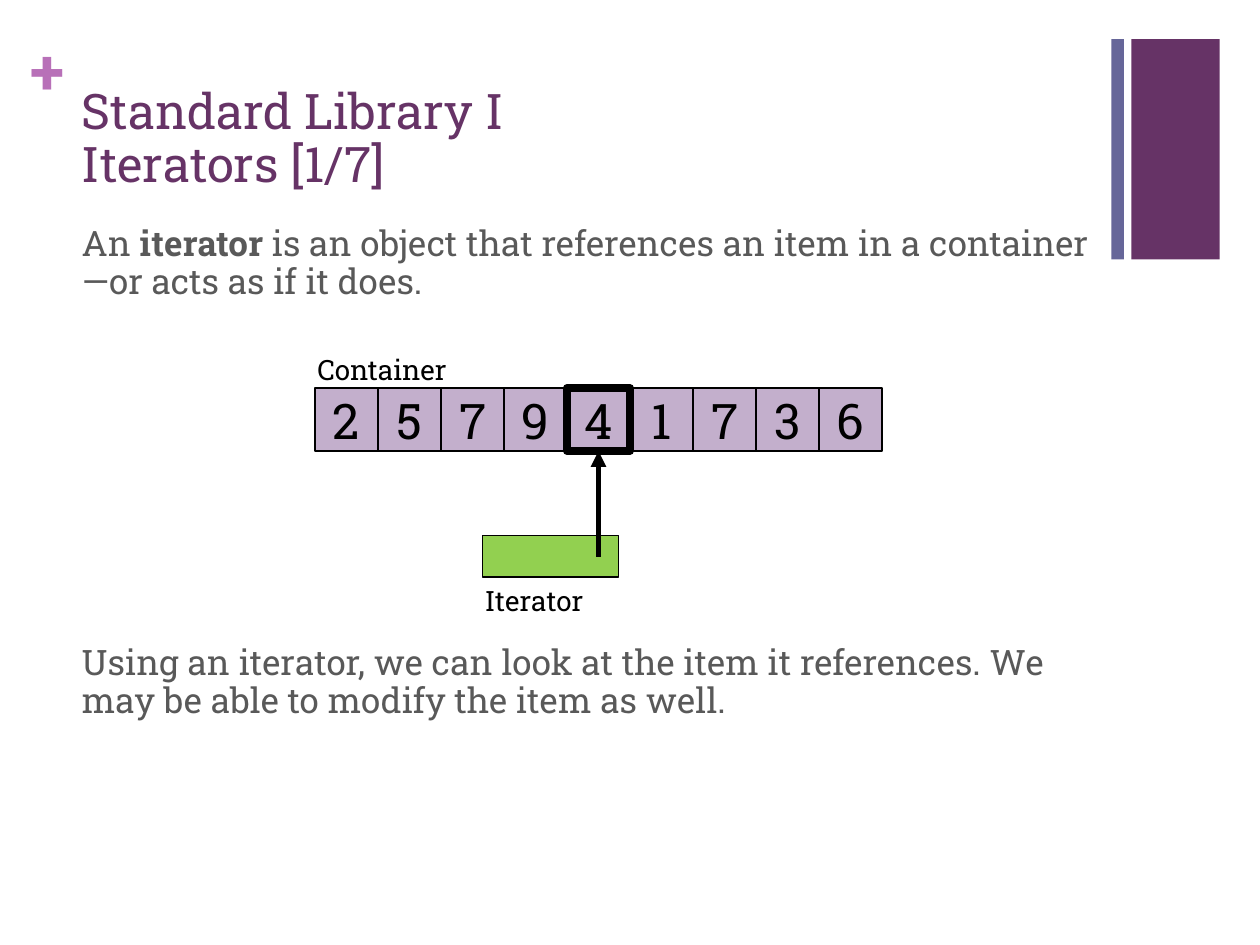
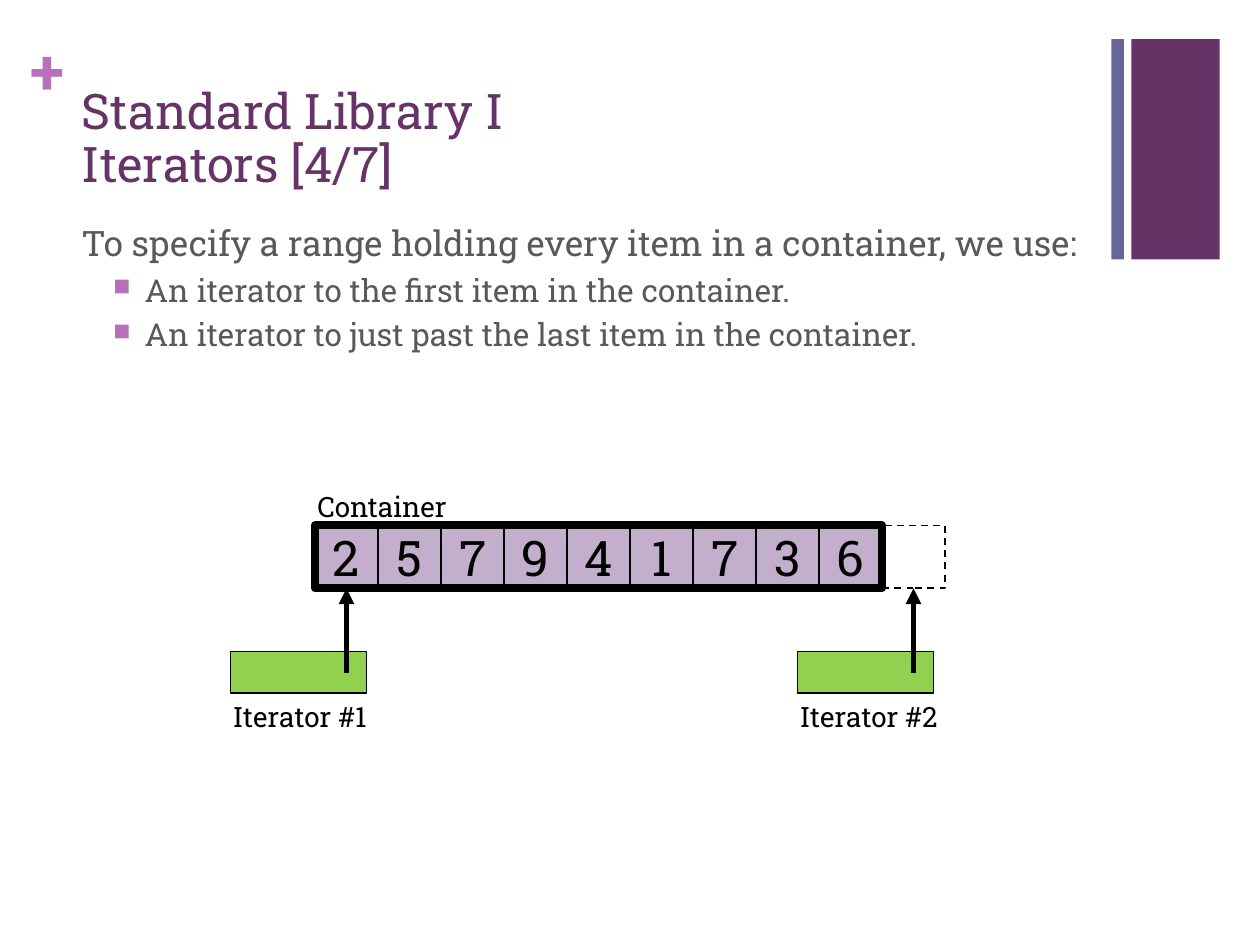
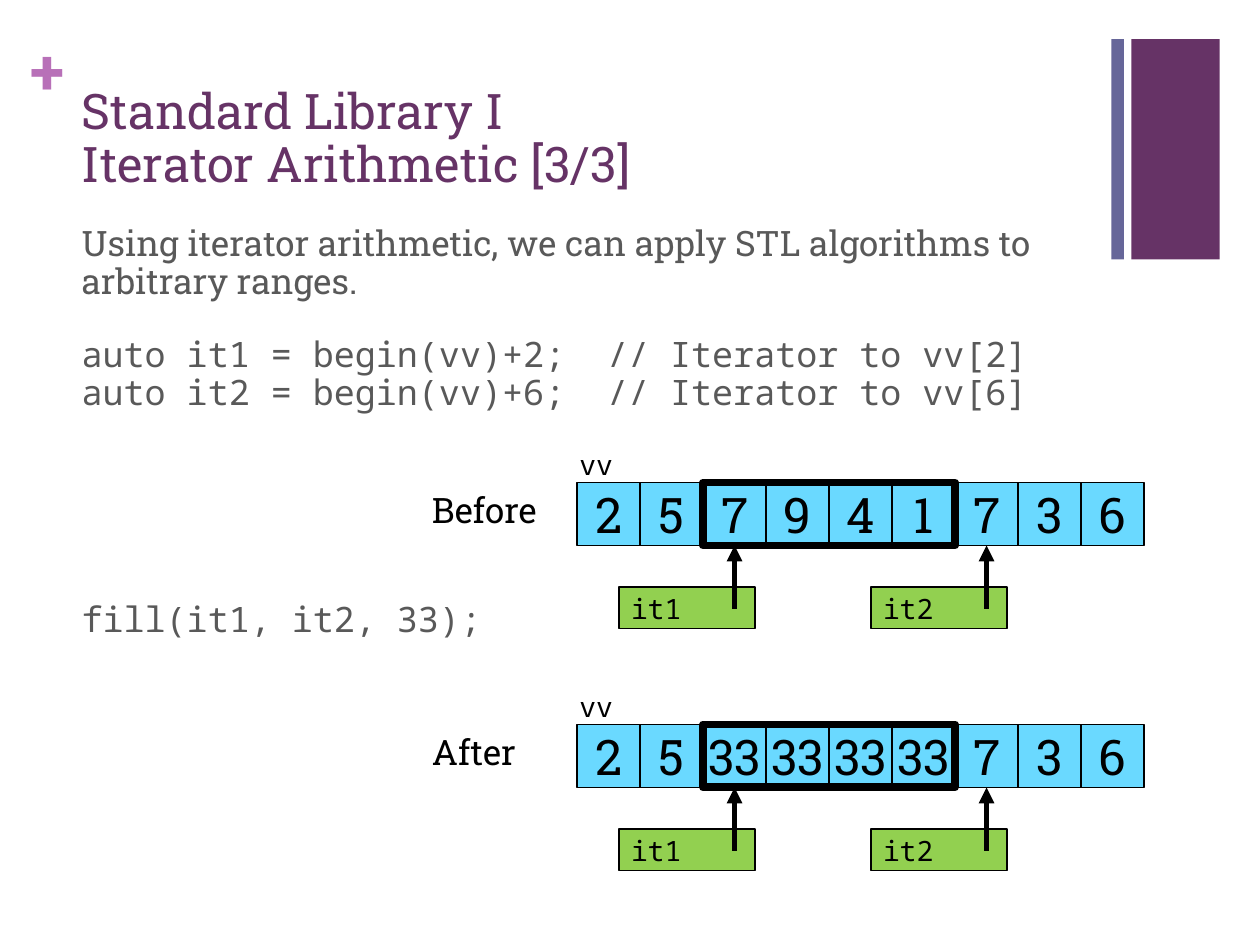
"""Builds three slides on iterators, with container diagrams."""
from copy import deepcopy

from lxml.etree import SubElement
from pptx import Presentation
from pptx.dml.color import RGBColor
from pptx.enum.dml import MSO_LINE
from pptx.enum.shapes import MSO_CONNECTOR, MSO_SHAPE
from pptx.enum.text import MSO_ANCHOR, MSO_AUTO_SIZE, PP_ALIGN
from pptx.oxml.ns import qn
from pptx.util import Inches, Pt

COLORS = {
    "title": "663366",
    "stripe": "666699",
    "accent": "B870B8",
    "body": "595959",
    "ink": "000000",
    "container": "C3AFCC",
    "vector": "6AD9FF",
    "iterator": "92D050",
}
SERIF = "Roboto Slab"
MONO = "Noto Sans Mono"
CELL = 0.5
LINE_SPACING = 0.9
ITEMS = [2, 5, 7, 9, 4, 1, 7, 3, 6]


def color(name):
    return RGBColor.from_string(COLORS[name])


class Deck:
    def __init__(self):
        self.presentation = Presentation()
        self.presentation.slide_width = Inches(10)
        self.presentation.slide_height = Inches(7.5)
        self.slide = None

    def add_slide(self, title):
        layout = self.presentation.slide_layouts[5]
        self.slide = self.presentation.slides.add_slide(layout)
        self.box(8.98, 0.31, 0.7, 1.75, "title", line=None)
        plus = self.text(0.24, 0.25, 0.29, 0.61, "+", 36, name="accent", bold=True)
        plus.margin_left = plus.margin_right = 0
        plus.margin_top = plus.margin_bottom = 0
        self.box(8.82, 0.31, 0.1, 1.75, "stripe", line=None)

        shape = self.slide.shapes.title
        shape.left, shape.top = Inches(0.55), Inches(0.53)
        shape.width, shape.height = Inches(8.26), Inches(1.05)
        frame = shape.text_frame
        frame.auto_size = MSO_AUTO_SIZE.NONE
        frame.vertical_anchor = MSO_ANCHOR.BOTTOM
        paragraph = frame.paragraphs[0]
        self.fill_paragraph(paragraph, title, 28, name="title")
        paragraph.alignment = PP_ALIGN.LEFT
        paragraph.line_spacing = LINE_SPACING

    def fill_paragraph(self, paragraph, text, size, font=SERIF, name="ink", bold=False):
        first, *others = text.split("**")
        paragraph.text = first
        for piece in others:
            paragraph.add_run().text = piece
        emphasis = len(others) > 0
        for index, run in enumerate(paragraph.runs):
            run.font.name = font
            run.font.size = Pt(size)
            run.font.color.rgb = color(name)
            run.font.bold = bold or (emphasis and index % 2 == 1)
        for line_break in paragraph._p.findall(qn("a:br")):
            line_break.insert(0, deepcopy(paragraph.runs[0]._r.rPr))

    def text(self, left, top, width, height, text, size, font=SERIF, name="ink", bold=False):
        shape = self.slide.shapes.add_textbox(
            Inches(left), Inches(top), Inches(width), Inches(height))
        frame = shape.text_frame
        frame.word_wrap = True
        self.fill_paragraph(frame.paragraphs[0], text, size, font, name, bold)
        return frame

    def body(self, first_text):
        frame = self.text(0.55, 1.75, 8.26, 5.17, first_text, 20, name="body")
        frame.paragraphs[0].line_spacing = LINE_SPACING
        return frame

    def body_paragraph(self, frame, text, space, size=20, font=SERIF):
        paragraph = frame.add_paragraph()
        self.fill_paragraph(paragraph, text, size, font, "body")
        paragraph.line_spacing = LINE_SPACING
        paragraph.space_before = Pt(space)
        return paragraph

    def bullet(self, frame, text):
        paragraph = self.body_paragraph(frame, text, 6, size=18)
        paragraph.level = 1
        properties = paragraph._p.get_or_add_pPr()
        properties.set("marL", str(Inches(0.5)))
        properties.set("indent", str(Inches(-0.25)))
        bullet_color = SubElement(properties, qn("a:buClr"))
        SubElement(bullet_color, qn("a:srgbClr"), val=COLORS["accent"])
        SubElement(properties, qn("a:buSzPct"), val="75000")
        SubElement(properties, qn("a:buChar"), char="■")

    def box(self, left, top, width, height, fill=None, line=1):
        shape = self.slide.shapes.add_shape(
            MSO_SHAPE.RECTANGLE, Inches(left), Inches(top), Inches(width), Inches(height))
        shape.shadow.inherit = False
        if fill:
            shape.fill.solid()
            shape.fill.fore_color.rgb = color(fill)
        else:
            shape.fill.background()
        if line:
            shape.line.color.rgb = color("ink")
            shape.line.width = Pt(line)
        else:
            shape.line.fill.background()
        return shape

    def container(self, left, top, items, fill, label, font=SERIF, selected=None):
        self.text(left - 0.08, top - 0.33, 2.5, 0.37, label, 16, font)
        for index in sorted(range(len(items)), key=lambda position: position == selected):
            line = 4.5 if index == selected else 1
            cell = self.box(left + index * CELL, top, CELL, CELL, fill, line)
            frame = cell.text_frame
            frame.margin_left = frame.margin_right = 0
            frame.word_wrap = False
            frame.vertical_anchor = MSO_ANCHOR.MIDDLE
            self.fill_paragraph(frame.paragraphs[0], str(items[index]), 28)
            frame.paragraphs[0].alignment = PP_ALIGN.CENTER

    def item_range(self, left, top, start, stop):
        self.box(left + start * CELL, top, (stop - start) * CELL, CELL, line=4.5)

    def iterator(self, left, top, index, box_top, label, inside=False):
        target = left + (index + 0.5) * CELL
        box_left = target - 0.92
        box = self.box(box_left, box_top, 1.08, 0.33, "iterator")
        if inside:
            frame = box.text_frame
            frame.vertical_anchor = MSO_ANCHOR.MIDDLE
            self.fill_paragraph(frame.paragraphs[0], label, 16, MONO)
            frame.paragraphs[0].alignment = PP_ALIGN.LEFT
        else:
            self.text(box_left - 0.08, box_top + 0.33, 1.5, 0.37, label, 16)
        self.arrow(target, box_top + 0.17, top + CELL)

    def arrow(self, x, start, end):
        connector = self.slide.shapes.add_connector(
            MSO_CONNECTOR.STRAIGHT, Inches(x), Inches(start), Inches(x), Inches(end))
        connector.line.color.rgb = color("ink")
        connector.line.width = Pt(3)
        SubElement(connector.line._get_or_add_ln(), qn("a:tailEnd"), type="triangle")
        SubElement(connector._element.spPr, qn("a:effectLst"))


def iterator_slide(deck):
    deck.add_slide("Standard Library I\nIterators [1/7]")
    frame = deck.body("An **iterator** is an object that references an item "
                      "in a container—or acts as if it does.")
    deck.body_paragraph(frame, "Using an iterator, we can look at the item it references. "
                               "We may be able to modify the item as well.", 196)
    left, top = 2.5, 3.08
    deck.container(left, top, ITEMS, "container", "Container", selected=4)
    deck.iterator(left, top, 4, 4.25, "Iterator")


def range_slide(deck):
    deck.add_slide("Standard Library I\nIterators [4/7]")
    frame = deck.body("To specify a range holding every item in a container, we use:")
    deck.bullet(frame, "An iterator to the first item in the container.")
    deck.bullet(frame, "An iterator to just past the last item in the container.")
    left, top = 2.5, 4.17
    count = len(ITEMS)
    past_end = deck.box(left + count * CELL, top, CELL, CELL)
    past_end.line.dash_style = MSO_LINE.DASH
    deck.container(left, top, ITEMS, "container", "Container")
    deck.item_range(left, top, 0, count)
    deck.iterator(left, top, 0, 5.17, "Iterator #1")
    deck.iterator(left, top, count, 5.17, "Iterator #2")


def arithmetic_slide(deck):
    deck.add_slide("Standard Library I\nIterator Arithmetic [3/3]")
    frame = deck.body("Using iterator arithmetic, we can apply STL algorithms "
                      "to arbitrary ranges.")
    deck.body_paragraph(frame, "auto it1 = begin(vv)+2;  // Iterator to vv[2]\n"
                               "auto it2 = begin(vv)+6;  // Iterator to vv[6]", 20, font=MONO)
    deck.body_paragraph(frame, "fill(it1, it2, 33);", 108, font=MONO)
    left, start, stop = 4.58, 2, 6
    filled = ITEMS[:start] + [33] * (stop - start) + ITEMS[stop:]
    for caption, top, items in (("Before", 3.83, ITEMS), ("After", 5.75, filled)):
        deck.text(3.33, top, 1.42, 0.44, caption, 20)
        deck.container(left, top, items, "vector", "vv", MONO)
        deck.item_range(left, top, start, stop)
        deck.iterator(left, top, start, top + 0.83, "it1", inside=True)
        deck.iterator(left, top, stop, top + 0.83, "it2", inside=True)


def main():
    deck = Deck()
    iterator_slide(deck)
    range_slide(deck)
    arithmetic_slide(deck)
    deck.presentation.save("out.pptx")


if __name__ == "__main__":
    main()
